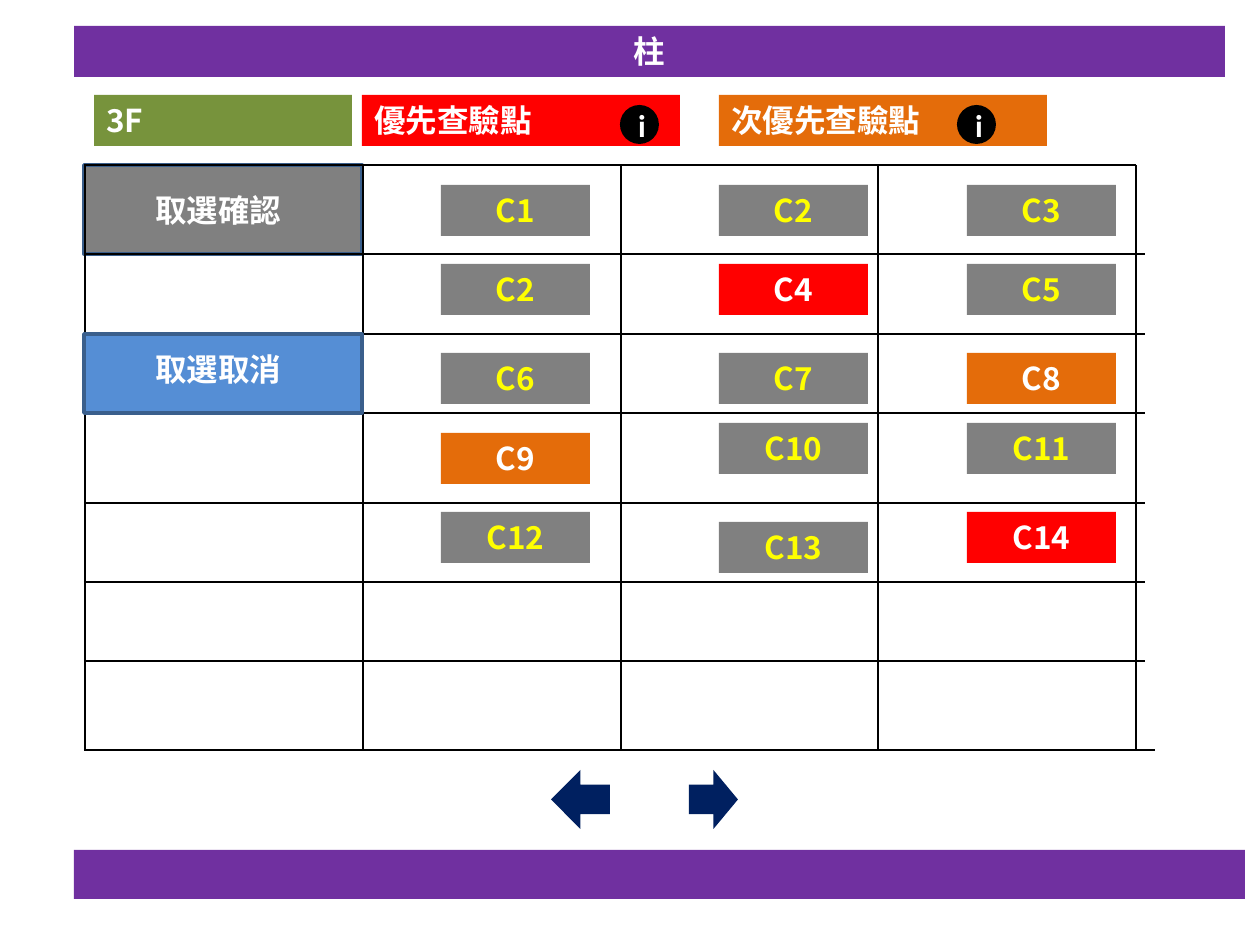
from lxml import etree
from pptx import Presentation
from pptx import util as u
from pptx.dml.color import RGBColor
from pptx.enum import shapes, text
from pptx.oxml import ns

SCALE = 914400 / 126
NOTO, LATIN = "Noto Sans CJK SC", "Calibri"
GRAY, RED, ORANGE, PURPLE, NAVY = "808080", "FF0000", "E46C0A", "7030A0", "002060"
WHITE, YELLOW, BLACK, EDGE = "FFFFFF", "FFFF00", "000000", "3A5F8C"
KIND = shapes.MSO_SHAPE
MID, LEFT = text.PP_ALIGN.CENTER, text.PP_ALIGN.LEFT
TOP, HALF = text.MSO_ANCHOR.TOP, text.MSO_ANCHOR.MIDDLE


def px(*nums):
    """Turn pixels into EMU."""
    return [u.Emu(round(n * SCALE)) for n in nums]


def paint(part, color):
    """Give a fill or font colour format a solid hex colour."""
    part.rgb = RGBColor.from_string(color)


def write(shape, words, color=WHITE, align=MID, anchor=TOP, face=NOTO):
    """Put bold text in a shape."""
    frame = shape.text_frame
    frame.text = words
    form = {"word_wrap": True, "auto_size": text.MSO_AUTO_SIZE.NONE, "vertical_anchor": anchor}
    for key, val in form.items():
        setattr(frame, key, val)
    para = frame.paragraphs[0]
    para.alignment = align
    font = para.runs[0].font
    for key, val in {"size": u.Pt(18), "bold": True, "name": face}.items():
        setattr(font, key, val)
    paint(font.color, color)
    east = etree.SubElement(para.runs[0]._r.get_or_add_rPr(), ns.qn("a:ea"))
    east.set("typeface", NOTO)


def block(slide, box, fill, kind=KIND.RECTANGLE, edge=None):
    """Add a flat filled shape."""
    shape = slide.shapes.add_shape(kind, *px(*box))
    shape.shadow.inherit = False
    shape.fill.solid()
    paint(shape.fill.fore_color, fill)
    if edge:
        paint(shape.line.color, edge)
        shape.line.width = u.Pt(2)
    else:
        shape.line.fill.background()
    return shape


def rule(slide, *ends):
    """Draw a thin black line."""
    line = slide.shapes.add_connector(shapes.MSO_CONNECTOR.STRAIGHT, *px(*ends))
    paint(line.line.color, BLACK)
    line.line.width = u.Pt(0.75)
    etree.SubElement(line._element.spPr, ns.qn("a:effectLst"))


def header(slide, box):
    """Form the title bar from the title placeholder."""
    title = slide.shapes.title
    for key, val in zip(("left", "top", "width", "height"), px(*box)):
        setattr(title, key, val)
    title.fill.solid()
    paint(title.fill.fore_color, PURPLE)
    write(title, "柱")


def legend(slide, x, y):
    """Place the floor tag and the two priority tags."""
    tags = [(0, 258, "77933C", "3F", NOTO, None),
            (268, 318, RED, "優先查驗點", LATIN, 526),
            (625, 328, ORANGE, "次優先查驗點", LATIN, 863)]
    for dx, wide, fill, words, face, info in tags:
        write(block(slide, (x + dx, y, wide, 51), fill), words, align=LEFT, face=face)
        if info:
            dot = block(slide, (x + info, y + 10, 39, 39), BLACK, KIND.OVAL)
            write(dot, "i", anchor=HALF, face=LATIN)


def button(slide, x, y, high, fill, words, drop):
    """Place a filled cell with its caption."""
    block(slide, (x, y, 278, high), fill, edge=EDGE)
    label = slide.shapes.add_textbox(*px(x + 30, y + drop, 208, 51))
    write(label, words)


def chips(slide, x, y):
    """Place the column marks, three to a row."""
    cols = (357, 635, 883)
    rows = [((20, 20, 20), ("C1", "C2", "C3")),
            ((99, 99, 99), ("C2", "C4", "C5")),
            ((188, 188, 188), ("C6", "C7", "C8")),
            ((268, 258, 258), ("C9", "C10", "C11")),
            ((347, 357, 347), ("C12", "C13", "C14"))]
    marks = {"C4": RED, "C14": RED, "C8": ORANGE, "C9": ORANGE}
    for tops, names in rows:
        for dx, dy, name in zip(cols, tops, names):
            chip = block(slide, (x + dx, y + dy, 149, 51), marks.get(name, GRAY))
            write(chip, name, WHITE if name in marks else YELLOW)


def grid(slide, x, y):
    """Draw the ruled grid with its buttons and marks."""
    button(slide, x, y, 89, GRAY, "取選確認", 20)
    chips(slide, x, y)
    tops = (0, 89, 169, 248, 338, 417, 496, 585)
    for dy in tops:
        wide = {0: 1052, tops[-1]: 1071}.get(dy, 1061)
        rule(slide, x, y + dy, x + wide, y + dy)
    for dx in (1, 279, 537, 794, 1052):
        rule(slide, x + dx, y, x + dx, y + tops[-1])
    button(slide, x, y + 169, 79, "558ED5", "取選取消", 10)


def footer(slide, x, y):
    """Place the page arrows and the bottom bar."""
    block(slide, (x + 477, y, 59, 59), NAVY, KIND.LEFT_ARROW)
    block(slide, (x + 615, y, 49, 59), NAVY, KIND.RIGHT_ARROW)
    block(slide, (x, y + 80, 1171, 49), PURPLE)


def main():
    """Build the slide and save it."""
    deck = Presentation()
    deck.slide_width, deck.slide_height = px(1260, 945)
    slide = deck.slides.add_slide(deck.slide_layouts[5])
    header(slide, (74, 26, 1151, 51))
    legend(slide, 94, 95)
    grid(slide, 84, 165)
    footer(slide, 74, 770)
    deck.save("out.pptx")


if __name__ == "__main__":
    main()
